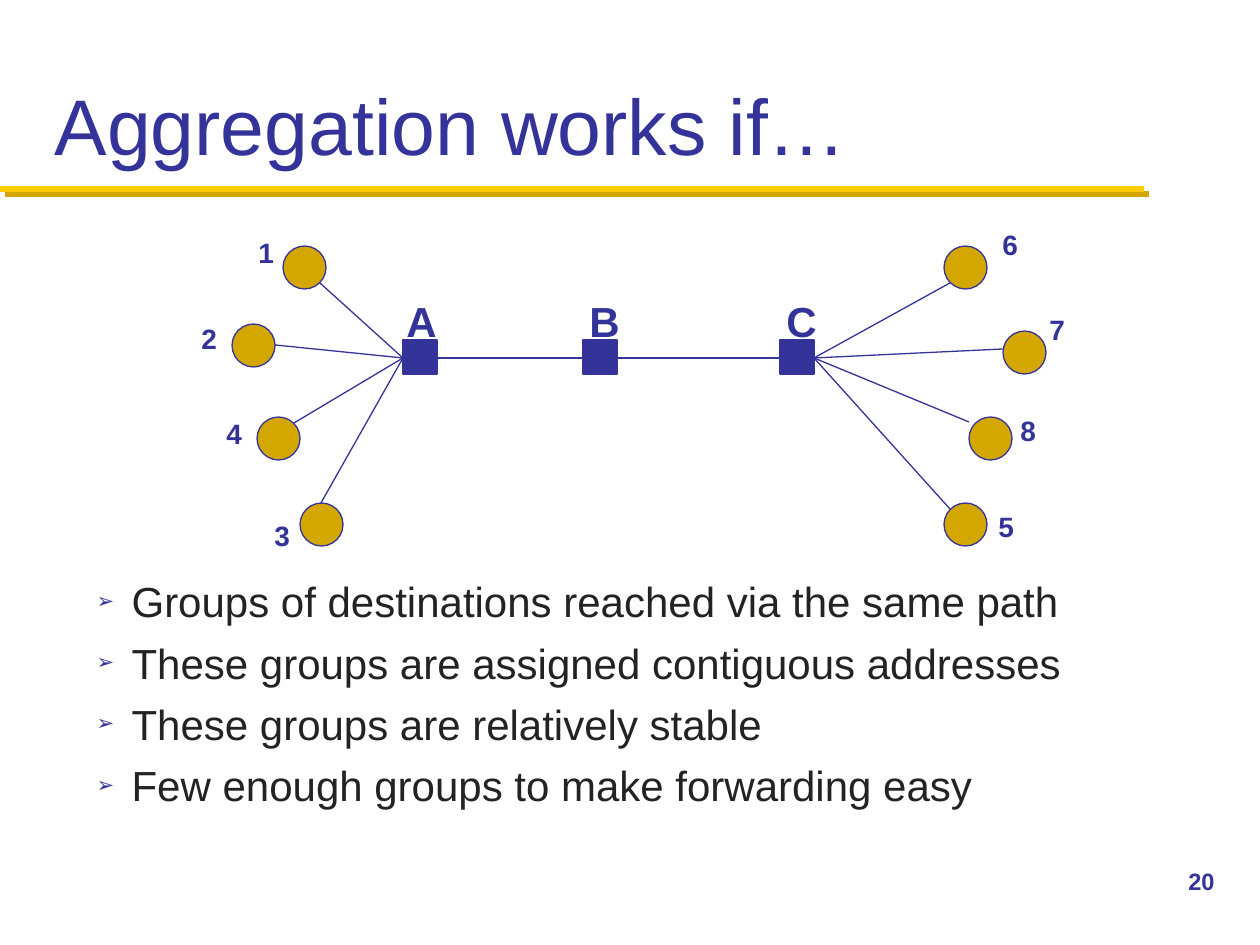
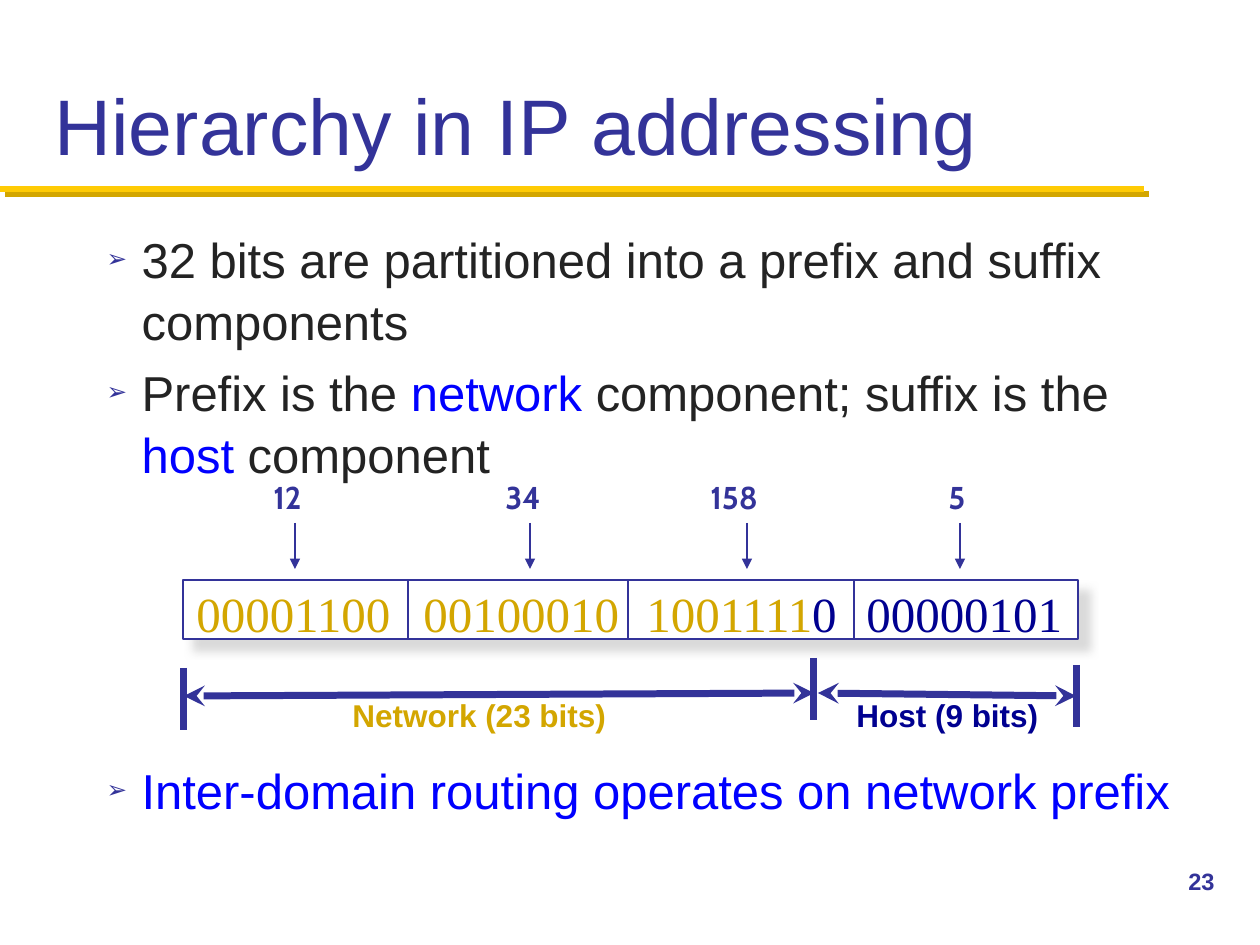
from lxml.etree import SubElement
from pptx import Presentation
from pptx.dml.color import RGBColor
from pptx.enum.shapes import MSO_CONNECTOR, MSO_SHAPE as Kind
from pptx.enum.text import MSO_ANCHOR, MSO_AUTO_SIZE, PP_ALIGN
from pptx.oxml.ns import qn
from pptx.util import Emu, Pt

BLUE = RGBColor(0x33, 0x33, 0x99)
GOLD = RGBColor(0xD3, 0xA6, 0x00)
YELLOW = RGBColor(0xFF, 0xCB, 0x05)
INK = RGBColor(0x23, 0x23, 0x23)
BRIGHT = RGBColor(0x00, 0x00, 0xFF)
NAVY = RGBColor(0x00, 0x00, 0x90)
WHITE = RGBColor(0xFF, 0xFF, 0xFF)
GREY = RGBColor(0xCE, 0xCE, 0xCE)

SANS, SERIF, LABEL = "Arial", "Times New Roman", "Cabin"
SCALE = 914400 / 126
INDENT = 35
NODE, DOT = 34, 43
HUB_Y = 340
WIRE_Y = HUB_Y + NODE // 2 + 1

# Name, circle corner, label corner, link end on the circle
LEFT = [
    ("1", (283, 246), (246, 229), (320, 283)),
    ("2", (232, 324), (189, 315), (275, 345)),
    ("4", (257, 417), (214, 410), (294, 423)),
    ("3", (300, 503), (262, 512), (321, 503)),
]
RIGHT = [
    ("6", (944, 246), (990, 221), (950, 283)),
    ("7", (1003, 331), (1037, 306), (1003, 349)),
    ("8", (969, 417), (1008, 407), (969, 422)),
    ("5", (944, 503), (986, 503), (950, 509)),
]
# Name, square left, label left
HUBS = [("A", 403, 394), ("B", 583, 577), ("C", 780, 774)]

# Decimal, its left, arrow x, bits left, bits as coloured runs
OCTETS = [
    ("12", 261, 295, 184, [("00001100", GOLD)]),
    ("34", 493, 530, 411, [("00100010", GOLD)]),
    ("158", 698, 747, 634, [("1001111", GOLD), ("0", NAVY)]),
    ("5", 936, 960, 854, [("00000101", NAVY)]),
]


def px(*sizes):
    return [Emu(round(size * SCALE)) for size in sizes]


def place(shape, *box):
    shape.left, shape.top, shape.width, shape.height = px(*box)


def effect(shape, shade=None, alpha=100, blur=0, dist=0):
    """Replace the theme's shadow by none, or by one cast at 45 degrees."""
    fx = SubElement(shape._element.spPr, qn("a:effectLst"))
    if shade is None:
        return
    cast = SubElement(fx, qn("a:outerShdw"), blurRad=str(Pt(blur)),
                      dist=str(Pt(dist)), dir="2700000", algn="ctr",
                      rotWithShape="0")
    tone = SubElement(cast, qn("a:srgbClr"), val=str(shade))
    SubElement(tone, qn("a:alpha"), val=str(alpha * 1000))


def style(run, size, color, font=SANS, bold=False):
    run.font.size = Pt(size)
    run.font.name = font
    run.font.bold = bold
    run.font.color.rgb = color


def fill(para, parts, *look, **more):
    """Write (text, colour) pairs as the runs of a paragraph."""
    size, *rest = look
    for text, color in parts:
        run = para.add_run()
        run.text = text
        style(run, size, color, *rest, **more)


def label(slide, parts, box, size, font=SANS, bold=True):
    frame = slide.shapes.add_textbox(*px(*box)).text_frame
    frame.word_wrap = True
    fill(frame.paragraphs[0], parts, size, font, bold)


def line(slide, start, end, width=0.75, color=BLUE, head=None, tail=None,
         **shadow):
    link = slide.shapes.add_connector(MSO_CONNECTOR.STRAIGHT,
                                      *px(*start, *end))
    link.line.width = Pt(width)
    link.line.color.rgb = color
    for tag, kind in (("a:headEnd", head), ("a:tailEnd", tail)):
        if kind:
            SubElement(link.line._get_or_add_ln(), qn(tag), type=kind)
    effect(link, **shadow)


def solid(slide, kind, box, color, width=0.75, **shadow):
    shape = slide.shapes.add_shape(kind, *px(*box))
    shape.fill.solid()
    shape.fill.fore_color.rgb = color
    shape.line.color.rgb = BLUE
    shape.line.width = Pt(width)
    effect(shape, **shadow)


def bullet(para, gap):
    para.space_before = Pt(gap)
    para.line_spacing = 1.05
    props = para._p.get_or_add_pPr()
    step = px(INDENT)[0]
    props.set("marL", str(step))
    props.set("indent", str(-step))
    tone = SubElement(props, qn("a:buClr"))
    SubElement(tone, qn("a:srgbClr"), val=str(BLUE))
    SubElement(props, qn("a:buSzPct"), val="50000")
    SubElement(props, qn("a:buChar"), char="➢")


def fill_list(slide, box, size, items, last_gap=None):
    """Fill the body; last_gap in points leaves room above the last item."""
    body = slide.placeholders[1]
    place(body, *box)
    frame = body.text_frame
    frame.auto_size = MSO_AUTO_SIZE.NONE
    for i, parts in enumerate(items):
        para = frame.add_paragraph() if i else frame.paragraphs[0]
        last = i == len(items) - 1
        bullet(para, last_gap if last and last_gap else size / 5)
        fill(para, parts, size)


def add_page(deck, title, number):
    slide = deck.slides.add_slide(deck.slide_layouts[1])
    line(slide, (0, 189), (1144, 189), 3.5, YELLOW, shade=GOLD, dist=4.2)
    head = slide.shapes.title
    place(head, 42, 21, 1176, 157)
    frame = head.text_frame
    frame.auto_size = MSO_AUTO_SIZE.NONE
    frame.vertical_anchor = MSO_ANCHOR.BOTTOM
    frame.text = title
    frame.paragraphs[0].alignment = PP_ALIGN.LEFT
    style(frame.paragraphs[0].runs[0], 45, BLUE)
    label(slide, [(number, BLUE)], (1176, 861, 84, 63), 13.5)
    return slide


def draw_net(slide):
    for name, left, text_x in HUBS:
        solid(slide, Kind.RECTANGLE, (left, HUB_Y, NODE, NODE), BLUE)
        label(slide, [(name, BLUE)], (text_x, 289, 60, 52), 24)
    for (_, a, _), (_, b, _) in zip(HUBS, HUBS[1:]):
        line(slide, (a + NODE, WIRE_Y), (b, WIRE_Y))
    first, last = HUBS[0][1], HUBS[-1][1] + NODE
    for hosts, hub_x in ((LEFT, first), (RIGHT, last)):
        for name, dot, text, end in hosts:
            solid(slide, Kind.OVAL, (*dot, DOT, DOT), GOLD)
            line(slide, end, (hub_x, WIRE_Y))
            label(slide, [(name, BLUE)], (*text, 44, 46), 16)


def draw_bits(slide):
    solid(slide, Kind.RECTANGLE, (183, 580, 895, 59), WHITE, 1,
          shade=GREY, alpha=75, blur=5, dist=8.5)
    for x in (408, 628, 854):
        line(slide, (x, 580), (x, 639), 1)
    for value, left, arrow, bits_x, bits in OCTETS:
        label(slide, [(value, BLUE)], (left, 472, 86, 50), 18, LABEL)
        line(slide, (arrow, 523), (arrow, 569), tail="triangle")
        label(slide, bits, (bits_x, 577, 230, 72), 28, SERIF, False)


def draw_spans(slide):
    for x, top in ((184, 668), (814, 658), (1077, 665)):
        line(slide, (x, top), (x, top + 62), 4)
    for start, end in (((814, 693), (184, 696)), ((818, 693), (1076, 696))):
        line(slide, start, end, 4, head="stealth", tail="stealth")
    label(slide, [("Network (23 bits)", GOLD)], (340, 690, 300, 50), 18)
    label(slide, [("Host (9 bits)", NAVY)], (844, 690, 230, 50), 18)


def main():
    deck = Presentation()
    deck.slide_width, deck.slide_height = px(1260, 945)

    slide = add_page(deck, "Aggregation works if…", "20")
    fill_list(slide, (84, 567, 1092, 263), 24, [
        [("Groups of destinations reached via the same path", INK)],
        [("These groups are assigned contiguous addresses", INK)],
        [("These groups are relatively stable", INK)],
        [("Few enough groups to make forwarding easy", INK)],
    ])
    draw_net(slide)

    slide = add_page(deck, "Hierarchy in IP addressing", "23")
    fill_list(slide, (94, 220, 1124, 609), 28, [
        [("32 bits are partitioned into a prefix and suffix components",
          INK)],
        [("Prefix is the ", INK), ("network ", BRIGHT),
         ("component; suffix is the ", INK), ("host ", BRIGHT),
         ("component", INK)],
        [("Inter-domain routing operates on network prefix", BRIGHT)],
    ], last_gap=157)
    draw_bits(slide)
    draw_spans(slide)

    deck.save("out.pptx")


if __name__ == "__main__":
    main()
